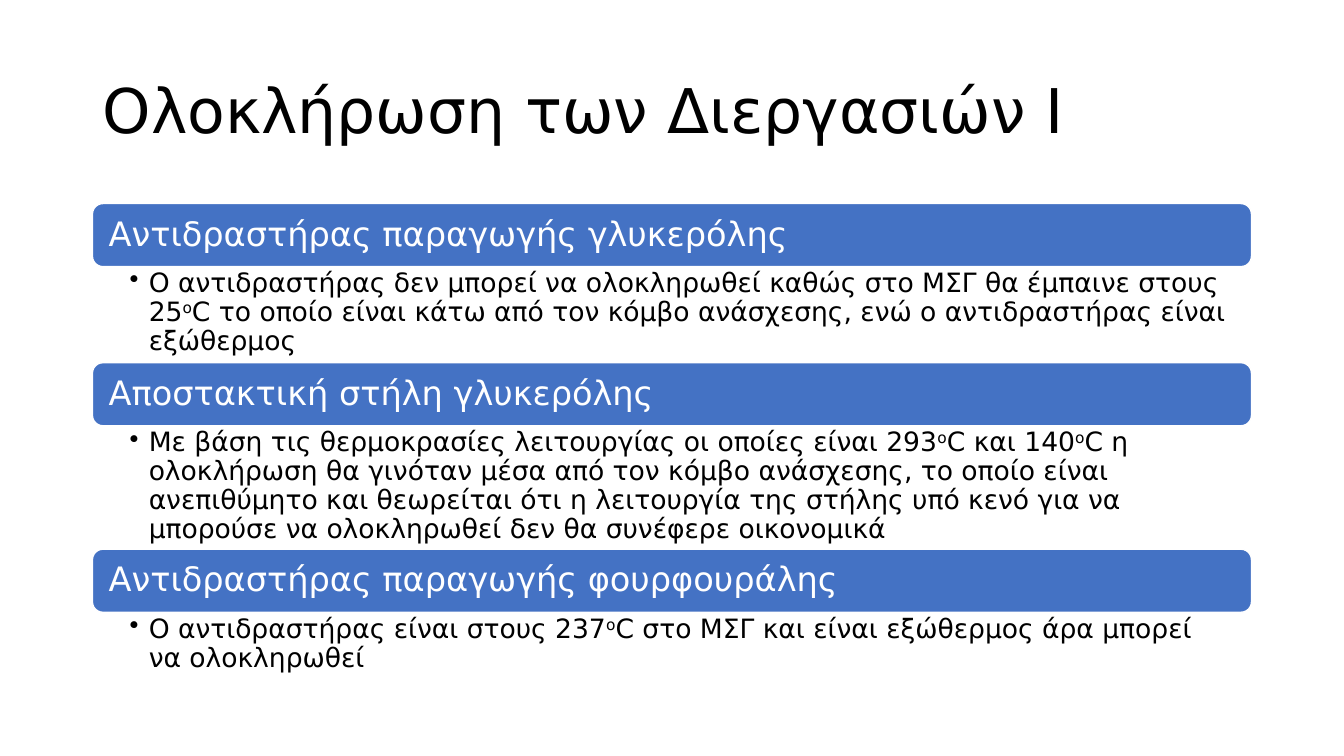
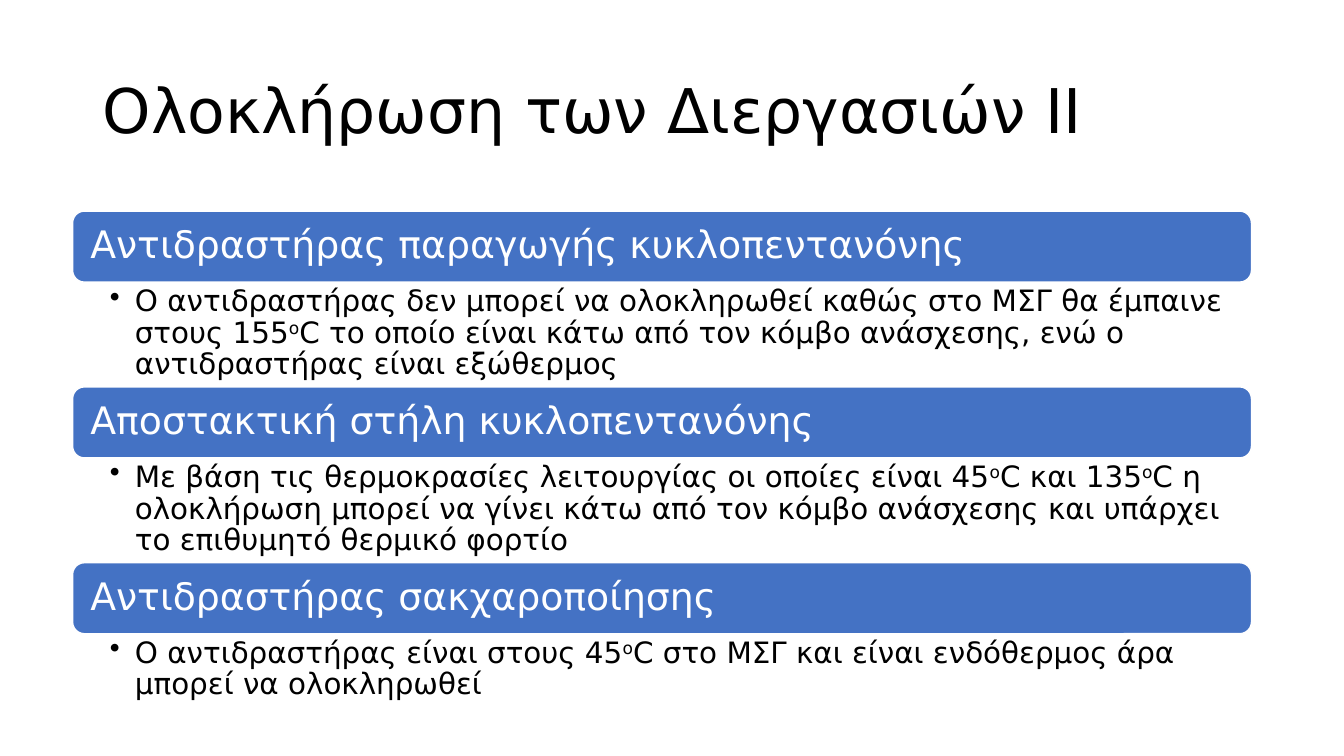
"""Build two slides on process integration as stacked bands with bulleted details."""
from dataclasses import dataclass

from lxml import etree
from pptx import Presentation
from pptx.dml.color import RGBColor
from pptx.enum import shapes, text
from pptx.oxml import ns
from pptx.slide import Slide
from pptx.text.text import TextFrame
from pptx.util import Cm, Pt


@dataclass(frozen=True)
class Theme:
    font: str = "DejaVu Sans"
    ink: RGBColor = RGBColor(0, 0, 0)
    paper: RGBColor = RGBColor(255, 255, 255)
    band: RGBColor = RGBColor(0x44, 0x72, 0xC4)
    title_size: int = 44
    spacing: float = 0.9


@dataclass(frozen=True)
class Layout:
    left: float
    top: float
    width: float
    band_height: float
    head_size: int
    body_size: int
    head_inset: float
    body_insets: tuple[float, float, float]
    hang: float


@dataclass(frozen=True)
class Item:
    head: str
    body: str
    body_height: float


@dataclass(frozen=True)
class Page:
    title: str
    layout: Layout
    items: tuple[Item, ...]


THEME = Theme()
SUPERSCRIPT_MARK = "^"

PAGES = (
    Page(
        "Ολοκλήρωση των Διεργασιών I",
        Layout(2.33, 5.13, 29.21, 1.59, 24, 19, 0.33, (0.94, 0.08, 0.48), 0.48),
        (
            Item(
                "Αντιδραστήρας παραγωγής γλυκερόλης",
                "Ο αντιδραστήρας δεν μπορεί να ολοκληρωθεί καθώς στο ΜΣΓ θα έμπαινε στους "
                "25^οC το οποίο είναι κάτω από τον κόμβο ανάσχεσης, ενώ ο αντιδραστήρας "
                "είναι εξώθερμος",
                2.42,
            ),
            Item(
                "Αποστακτική στήλη γλυκερόλης",
                "Με βάση τις θερμοκρασίες λειτουργίας οι οποίες είναι 293^oC και 140^oC η "
                "ολοκλήρωση θα γινόταν μέσα από τον κόμβο ανάσχεσης, το οποίο είναι "
                "ανεπιθύμητο και θεωρείται ότι η λειτουργία της στήλης υπό κενό για να "
                "μπορούσε να ολοκληρωθεί δεν θα συνέφερε οικονομικά",
                3.11,
            ),
            Item(
                "Αντιδραστήρας παραγωγής φουρφουράλης",
                "Ο αντιδραστήρας είναι στους 237^oC στο ΜΣΓ και είναι εξώθερμος άρα μπορεί "
                "να ολοκληρωθεί",
                1.66,
            ),
        ),
    ),
    Page(
        "Ολοκλήρωση των Διεργασιών II",
        Layout(1.83, 5.32, 29.71, 1.79, 27, 21, 0.36, (0.94, 0.1, 0.53), 0.63),
        (
            Item(
                "Αντιδραστήρας παραγωγής κυκλοπεντανόνης",
                "Ο αντιδραστήρας δεν μπορεί να ολοκληρωθεί καθώς στο ΜΣΓ θα έμπαινε στους "
                "155^οC το οποίο είναι κάτω από τον κόμβο ανάσχεσης, ενώ ο αντιδραστήρας "
                "είναι εξώθερμος",
                2.64,
            ),
            Item(
                "Αποστακτική στήλη κυκλοπεντανόνης",
                "Με βάση τις θερμοκρασίες λειτουργίας οι οποίες είναι 45^oC και 135^oC η "
                "ολοκλήρωση μπορεί να γίνει κάτω από τον κόμβο ανάσχεσης και υπάρχει το "
                "επιθυμητό θερμικό φορτίο",
                2.64,
            ),
            Item(
                "Αντιδραστήρας σακχαροποίησης",
                "Ο αντιδραστήρας είναι στους 45^oC στο ΜΣΓ και είναι ενδόθερμος άρα μπορεί "
                "να ολοκληρωθεί",
                1.83,
            ),
        ),
    ),
)


def apply(target: object, values: dict[str, object]) -> None:
    for name, value in values.items():
        setattr(target, name, value)


def write(tf: TextFrame, content: str, size: int, color: RGBColor, **frame: object) -> None:
    apply(tf, {"word_wrap": True, "auto_size": text.MSO_AUTO_SIZE.NONE, **frame})
    p = tf.paragraphs[0]
    apply(p, {"alignment": text.PP_ALIGN.LEFT, "line_spacing": THEME.spacing})
    first, *rest = content.split(SUPERSCRIPT_MARK)
    pieces = [(first, False)]
    for part in rest:
        pieces += [(part[:1], True), (part[1:], False)]
    for piece, raised in pieces:
        r = p.add_run()
        r.text = piece
        apply(r.font, {"name": THEME.font, "size": Pt(size)})
        r.font.color.rgb = color
        if raised:
            r._r.get_or_add_rPr().set("baseline", "30000")


def add_bullet(tf: TextFrame, hang: float) -> None:
    pPr = tf.paragraphs[0]._p.get_or_add_pPr()
    pPr.set("marL", str(Cm(hang)))
    pPr.set("indent", str(-Cm(hang)))
    etree.SubElement(pPr, ns.qn("a:buChar")).set("char", "•")


def add_title(s: Slide, title: str) -> None:
    sp = s.shapes.title
    apply(sp, {"left": Cm(2.33), "top": Cm(1.02), "width": Cm(29.21), "height": Cm(3.68)})
    write(sp.text_frame, title, THEME.title_size, THEME.ink,
          vertical_anchor=text.MSO_ANCHOR.MIDDLE)


def add_band(s: Slide, head: str, top: float, lay: Layout) -> None:
    sp = s.shapes.add_shape(shapes.MSO_SHAPE.ROUNDED_RECTANGLE, Cm(lay.left), Cm(top),
                            Cm(lay.width), Cm(lay.band_height))
    sp.shadow.inherit = False
    sp.fill.solid()
    sp.fill.fore_color.rgb = THEME.band
    sp.line.color.rgb = THEME.paper
    sp.line.width = Pt(1)
    inset = Cm(lay.head_inset)
    write(sp.text_frame, head, lay.head_size, THEME.paper,
          vertical_anchor=text.MSO_ANCHOR.MIDDLE,
          margin_left=inset, margin_right=inset, margin_top=0, margin_bottom=0)


def add_detail(s: Slide, item: Item, top: float, lay: Layout) -> None:
    sp = s.shapes.add_textbox(Cm(lay.left), Cm(top), Cm(lay.width), Cm(item.body_height))
    left, edge, right = (Cm(v) for v in lay.body_insets)
    write(sp.text_frame, item.body, lay.body_size, THEME.ink,
          vertical_anchor=text.MSO_ANCHOR.TOP,
          margin_left=left, margin_right=right, margin_top=edge, margin_bottom=edge)
    add_bullet(sp.text_frame, lay.hang)


def add_page(prs: Presentation, page: Page) -> None:
    s = prs.slides.add_slide(prs.slide_layouts.get_by_name("Title Only"))
    add_title(s, page.title)
    top = page.layout.top
    for item in page.items:
        add_band(s, item.head, top, page.layout)
        top += page.layout.band_height
        add_detail(s, item, top, page.layout)
        top += item.body_height


def main() -> None:
    prs = Presentation()
    apply(prs, {"slide_width": Cm(33.87), "slide_height": Cm(19.05)})
    for page in PAGES:
        add_page(prs, page)
    prs.save("out.pptx")


if __name__ == "__main__":
    main()
